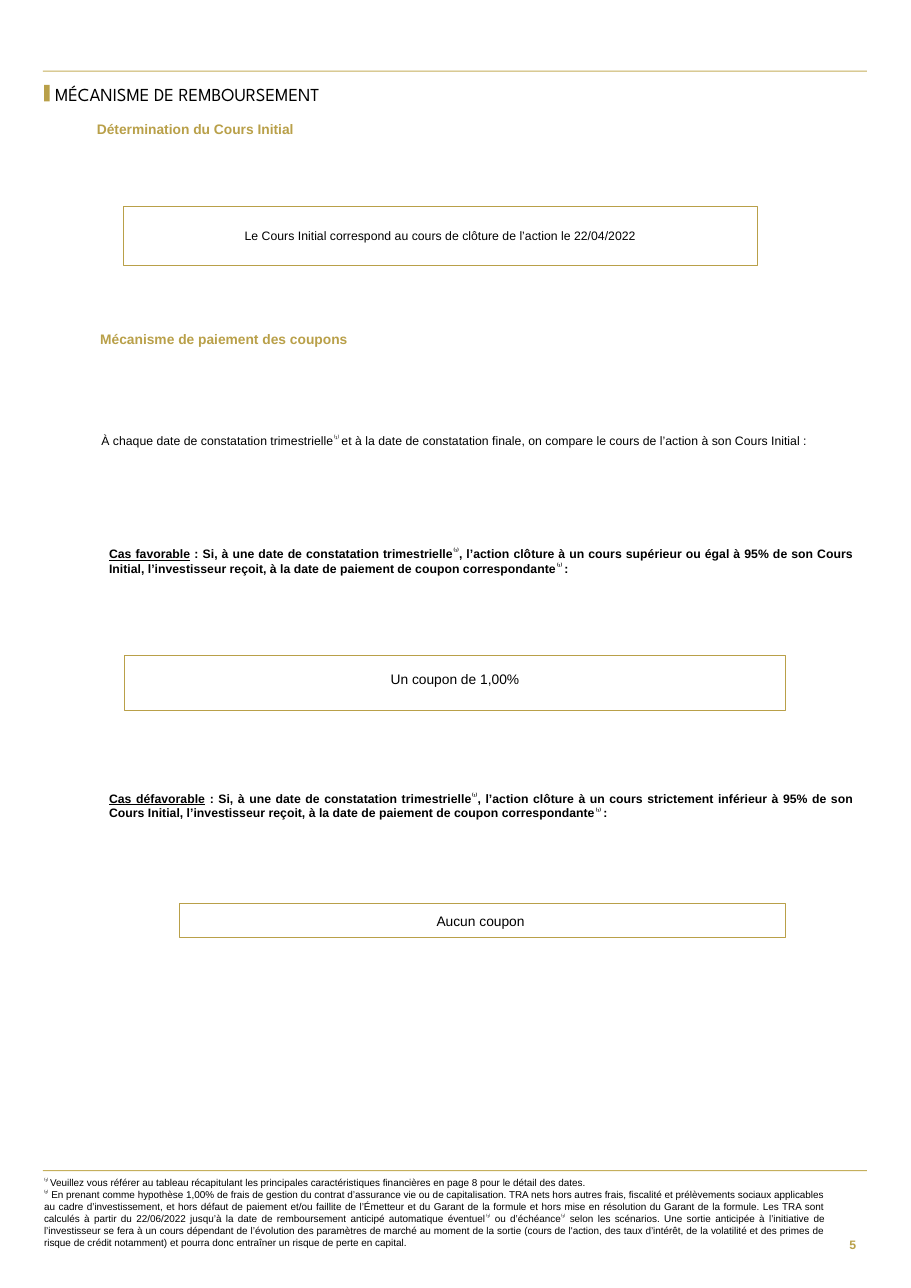
from dataclasses import dataclass

from pptx import Presentation
from pptx import util as u
from pptx.dml.color import RGBColor
from pptx.enum import shapes, text

Inches, Pt = u.Inches, u.Pt
ALIGN, ANCHOR = text.PP_ALIGN, text.MSO_ANCHOR


@dataclass(frozen=True)
class Theme:
    gold: RGBColor = RGBColor(0xB9, 0xA0, 0x49)
    rule: RGBColor = RGBColor(0xC5, 0xAF, 0x5C)
    black: RGBColor = RGBColor(0, 0, 0)
    white: RGBColor = RGBColor(0xFF, 0xFF, 0xFF)
    body_font: str = "Arial"
    title_font: str = "League Spartan"
    title: float = 12
    heading: float = 9
    body: float = 8
    note: float = 6.5


THEME = Theme()

# Text between bars is raised
NOTES = [
    "|⁽¹⁾ |Veuillez vous référer au tableau récapitulant les principales "
    "caractéristiques financières en page 8 pour le détail des dates. ",
    "|⁽²⁾| En prenant comme hypothèse 1,00% de frais de gestion du contrat "
    "d’assurance vie ou de capitalisation. TRA nets hors autres frais, fiscalité et "
    "prélèvements sociaux applicables au cadre d’investissement, et hors défaut de "
    "paiement et/ou faillite de l’Émetteur et du Garant de la formule et hors mise en "
    "résolution du Garant de la formule. Les TRA sont calculés à partir du 22/06/2022 "
    "jusqu’à la date de remboursement anticipé automatique éventuel|⁽¹⁾| ou "
    "d’échéance|⁽¹⁾| selon les scénarios. Une sortie anticipée à l’initiative de "
    "l’investisseur se fera à un cours dépendant de l’évolution des paramètres de "
    "marché au moment de la sortie (cours de l'action, des taux d’intérêt, de la "
    "volatilité et des primes de risque de crédit notamment) et pourra donc "
    "entraîner un risque de perte en capital.",
]
COMPARISON = ("À chaque date de constatation trimestrielle|⁽¹⁾ |et à la date de constatation "
              "finale, on compare le cours de l’action à son Cours Initial :")
CASES = [
    (4.96, "Cas favorable", "supérieur ou égal"),
    (7.18, "Cas défavorable", "strictement inférieur"),
]


def apply(target, values):
    for name, value in values.items():
        setattr(target, name, value)


def add_span(para, words, raised=False, **format_values):
    span = para.add_run()
    span.text = words
    color = format_values.pop("color", THEME.black)
    apply(span.font, {"name": THEME.body_font, **format_values})
    span.font.color.rgb = color
    if raised:
        span.font._element.set("baseline", "30000")


def fill_text(shape, lines, size, align=ALIGN.LEFT, anchor=ANCHOR.TOP,
              insets=(0, 0, 0, 0), lead="", **format_values):
    """Write lines, with an optional underlined lead before the first one."""
    left, top, right, bottom = map(Inches, insets)
    frame = shape.text_frame
    apply(frame, {"word_wrap": True, "vertical_anchor": anchor, "margin_left": left,
                  "margin_top": top, "margin_right": right, "margin_bottom": bottom})
    for number, line in enumerate(lines):
        para = frame.add_paragraph() if number else frame.paragraphs[0]
        para.alignment = align
        if lead and not number:
            add_span(para, lead, size=Pt(size), underline=True, **format_values)
        for position, words in enumerate(line.split("|")):
            if words:
                add_span(para, words, position % 2 == 1, size=Pt(size), **format_values)


def add_text(page, place, lines, size, **options):
    box = page.shapes.add_textbox(*map(Inches, place))
    fill_text(box, lines, size, **options)


def add_heading(page, place, words):
    add_text(page, place, [words], THEME.heading, color=THEME.gold, bold=True)


def add_bar(page, place, color):
    bar = page.shapes.add_shape(shapes.MSO_SHAPE.RECTANGLE, *map(Inches, place))
    bar.shadow.inherit = False
    bar.fill.solid()
    bar.fill.fore_color.rgb = color
    bar.line.fill.background()
    return bar


def add_result(page, place, words, size, line_width, insets):
    """Framed outcome with centred text."""
    frame = add_bar(page, place, THEME.white)
    frame.line.color.rgb = THEME.gold
    frame.line.width = Pt(line_width)
    fill_text(frame, [words], size, align=ALIGN.CENTER, anchor=ANCHOR.MIDDLE, insets=insets)


def main():
    deck = Presentation()
    apply(deck, {"slide_width": Inches(8.27), "slide_height": Inches(11.69)})
    page = deck.slides.add_slide(deck.slide_layouts[6])

    # Page frame and title
    for top in (0.64, 10.62):
        add_bar(page, (0.39, top, 7.48, 0.01), THEME.rule)
    add_bar(page, (0.4, 0.77, 0.05, 0.15), THEME.gold)
    add_text(page, (0.5, 0.73, 4.21, 0.25), ["MÉCANISME DE REMBOURSEMENT"], THEME.title,
             anchor=ANCHOR.MIDDLE, name=THEME.title_font)

    # Initial price
    add_heading(page, (0.88, 1.1, 2.97, 0.18), "Détermination du Cours Initial")
    add_result(page, (1.12, 1.87, 5.76, 0.54),
               "Le Cours Initial correspond au cours de clôture de l’action le 22/04/2022",
               THEME.body, 0.5, (0.12, 0.2, 0.12, 0.2))

    # Coupon mechanism
    add_heading(page, (0.91, 3, 6.57, 0.17), "Mécanisme de paiement des coupons")
    add_text(page, (0.92, 3.93, 6.57, 0.13), [COMPARISON], THEME.body, align=ALIGN.JUSTIFY)
    for top, case, level in CASES:
        condition = (" : Si, à une date de constatation trimestrielle|⁽¹⁾|, l’action clôture à un "
                     f"cours {level} à 95% de son Cours Initial, l’investisseur reçoit, à la "
                     "date de paiement de coupon correspondante|⁽¹⁾ |: ")
        add_text(page, (0.99, top, 6.76, 0.27), [condition], THEME.body,
                 align=ALIGN.JUSTIFY, lead=case, bold=True)
    add_result(page, (1.13, 5.95, 6, 0.5), "Un coupon de 1,00%", THEME.heading, 0.75,
               (0.12, 0.12, 0.12, 0.2))
    add_result(page, (1.63, 8.2, 5.5, 0.31), "Aucun coupon ", THEME.heading, 0.75,
               (0.12, 0.08, 0.12, 0.08))

    # Footnotes and page number
    add_text(page, (0.4, 10.68, 7.09, 0.66), NOTES, THEME.note, align=ALIGN.JUSTIFY)
    add_text(page, (7.48, 11.09, 0.39, 0.42), ["5"], THEME.body, align=ALIGN.RIGHT,
             anchor=ANCHOR.MIDDLE, insets=(0.1, 0.05, 0.1, 0.05), color=THEME.gold, bold=True)

    deck.save("out.pptx")


if __name__ == "__main__":
    main()
